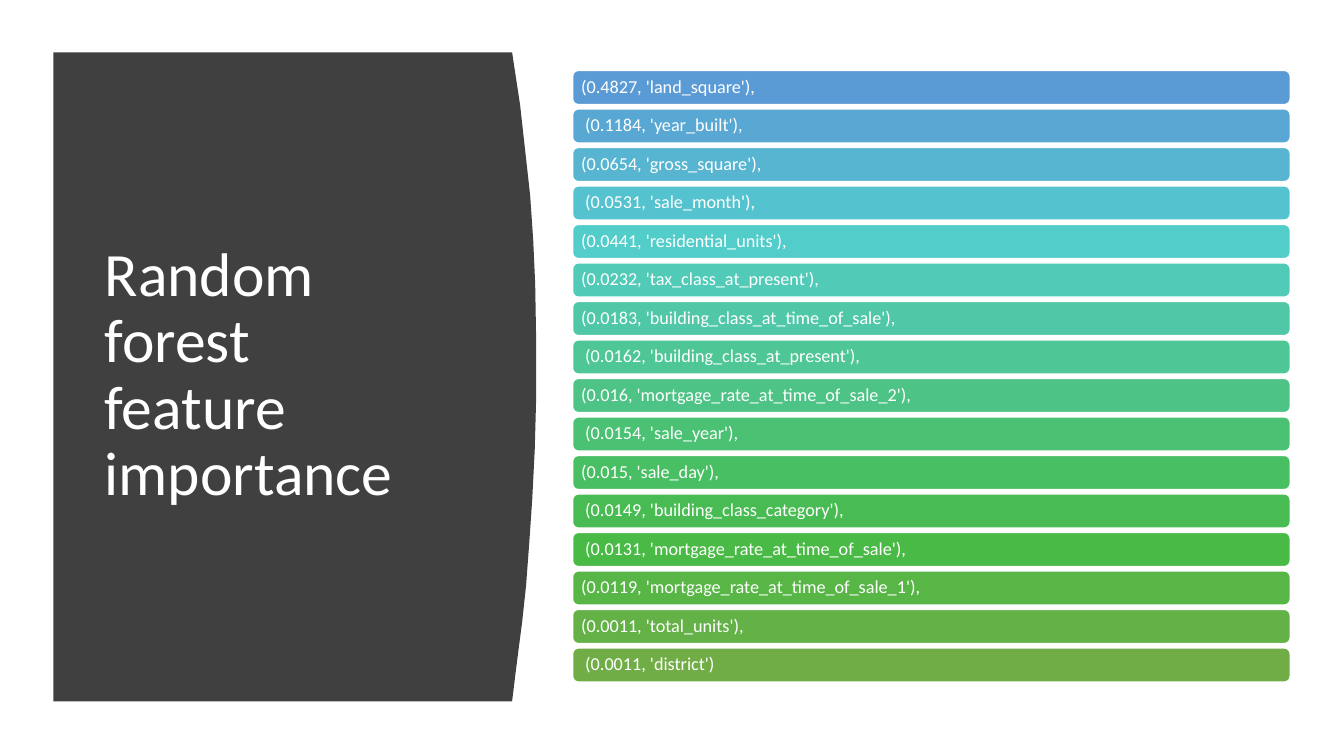
"""Build the random forest feature importance slide."""
from pptx import Presentation
from pptx.dml.color import RGBColor
from pptx.enum.shapes import MSO_SHAPE as Shape
from pptx.enum.text import MSO_ANCHOR as Anchor, PP_ALIGN as Align
from pptx.util import Pt

TITLE = "Random forest\vfeature importance"
FEATURES = [
    ("(0.4827, 'land_square'),", "5B9BD5"),
    (" (0.1184, 'year_built'),", "59A8D3"),
    ("(0.0654, 'gross_square'),", "57B5D1"),
    (" (0.0531, 'sale_month'),", "55C3CF"),
    ("(0.0441, 'residential_units'),", "53CDCA"),
    ("(0.0232, 'tax_class_at_present'),", "52CAB8"),
    ("(0.0183, 'building_class_at_time_of_sale'),", "50C8A7"),
    (" (0.0162, 'building_class_at_present'),", "4EC696"),
    ("(0.016, 'mortgage_rate_at_time_of_sale_2'),", "4DC385"),
    (" (0.0154, 'sale_year'),", "4BC174"),
    ("(0.015, 'sale_day'),", "49BF64"),
    (" (0.0149, 'building_class_category'),", "48BC53"),
    (" (0.0131, 'mortgage_rate_at_time_of_sale'),", "4ABA46"),
    ("(0.0119, 'mortgage_rate_at_time_of_sale_1'),", "57B646"),
    ("(0.0011, 'total_units'),", "64B147"),
    (" (0.0011, 'district')", "70AD47"),
]
PANEL_LEFT, PANEL_TOP, PANEL_BOTTOM = 38.2, 37.4, 501.1
PANEL_CURVE = [
    (365.8, PANEL_TOP), (371.5, 74.9), (375.1, 107.3), (378.7, 139.7),
    (380.9, 171.4), (382.3, 203), (383, 244.1), (383, 283.7),
    (382, 321.1), (380.2, 356.4), (378, 388.8), (375.8, 418.3),
    (373, 444.2), (370.1, 466.6), (367.9, 483.8), (365.8, PANEL_BOTTOM),
]
BAR_LEFT, BAR_TOP, BAR_WIDTH, BAR_HEIGHT, BAR_PITCH = 409, 50.3, 512.6, 24.4, 27.5


def color(code):
    return RGBColor.from_string(code)


def paint(shape, fill, line=None):
    shape.shadow.inherit = False
    shape.fill.solid()
    shape.fill.fore_color.rgb = color(fill)
    if line:
        shape.line.color.rgb = color(line)
        shape.line.width = Pt(1)
    else:
        shape.line.fill.background()


def write(shape, text, size, margin_x=7.2, margin_y=3.6):
    frame = shape.text_frame
    frame.word_wrap = True
    frame.vertical_anchor = Anchor.MIDDLE
    frame.margin_left = frame.margin_right = Pt(margin_x)
    frame.margin_top = frame.margin_bottom = Pt(margin_y)
    paragraph = frame.paragraphs[0]
    paragraph.text = text
    paragraph.alignment = Align.LEFT
    paragraph.line_spacing = 0.9
    paragraph.font.name = "Calibri"
    paragraph.font.size = Pt(size)
    paragraph.font.color.rgb = color("FFFFFF")


deck = Presentation()
deck.slide_width, deck.slide_height = Pt(960), Pt(540)
shapes = deck.slides.add_slide(deck.slide_layouts[6]).shapes

outline = shapes.build_freeform(Pt(PANEL_LEFT), Pt(PANEL_TOP))
outline.add_line_segments(
    [(Pt(x), Pt(y)) for x, y in PANEL_CURVE + [(PANEL_LEFT, PANEL_BOTTOM)]])
paint(outline.convert_to_shape(), "404040")

title = shapes.add_textbox(Pt(67.7), Pt(79.9), Pt(269.3), Pt(377.3))
write(title, TITLE, 44)

for row, (feature, fill) in enumerate(FEATURES):
    bar = shapes.add_shape(Shape.ROUNDED_RECTANGLE, Pt(BAR_LEFT), Pt(BAR_TOP + row * BAR_PITCH),
                           Pt(BAR_WIDTH), Pt(BAR_HEIGHT))
    paint(bar, fill, line="FFFFFF")
    write(bar, feature, 13, margin_x=4.9)

deck.save("out.pptx")
